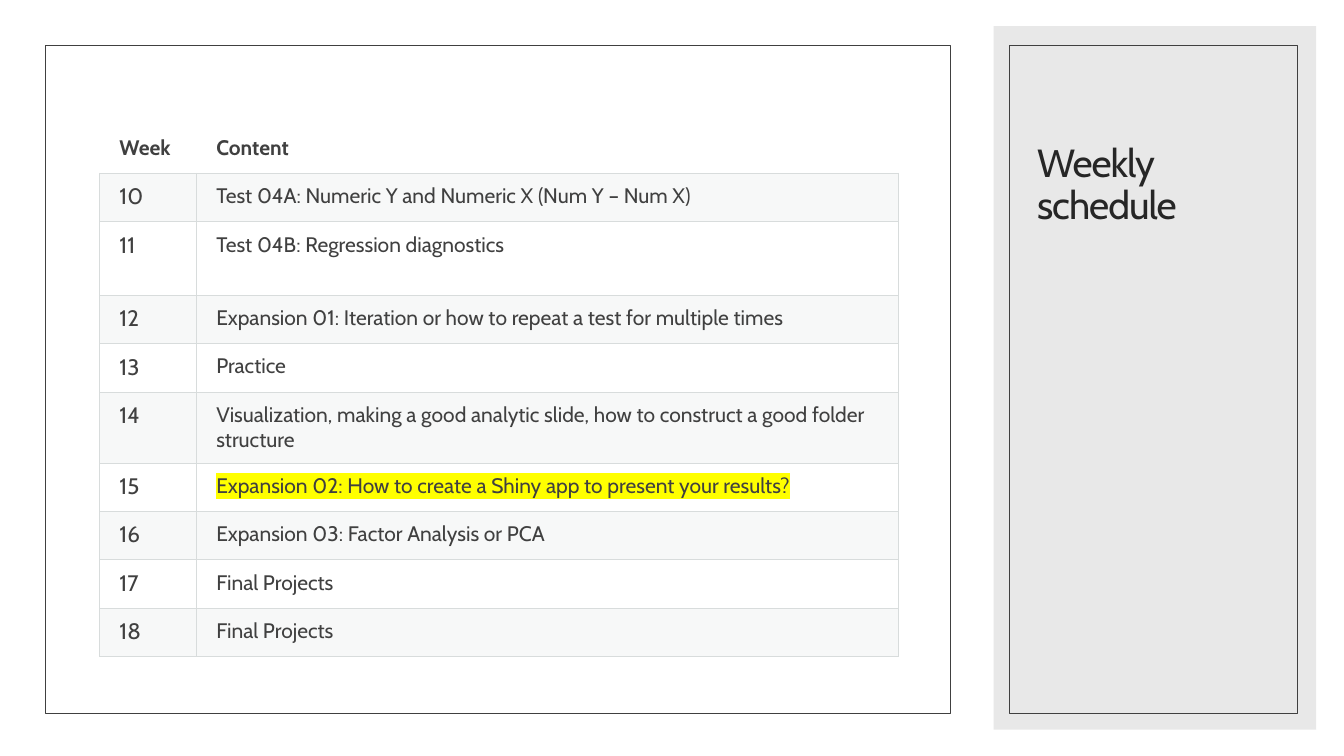
from lxml import etree
from pptx import Presentation
from pptx.dml.color import RGBColor
from pptx.enum.shapes import MSO_SHAPE
from pptx.enum.text import MSO_ANCHOR, MSO_AUTO_SIZE, PP_ALIGN
from pptx.oxml.ns import qn
from pptx.util import Cm, Pt

RECT = MSO_SHAPE.RECTANGLE
BOTTOM = MSO_ANCHOR.BOTTOM
NO_FIT = MSO_AUTO_SIZE.NONE
LEFT = PP_ALIGN.LEFT
FONT = "Cabin"
DARK = "404040"
BORDER = "D8DCDC"
BAND = "D8DEDC"


def paint(fill, color, alpha=100):
    fill.solid()
    fill.fore_color.rgb = RGBColor.from_string(color)
    if alpha < 100:
        clr = fill._xPr.find(qn("a:solidFill"))[0]
        etree.SubElement(clr, qn("a:alpha"), val=str(alpha * 1000))


def write(tf, text, size, color=DARK, bold=False, spacing=0, highlight=None):
    p = tf.paragraphs[0]
    p.alignment = LEFT
    r = p.add_run()
    r.text = text
    r.font.size = Pt(size)
    r.font.bold = bold
    r.font.name = FONT
    paint(r.font.fill, color)
    rPr = r.font._element
    if spacing:
        rPr.set("spc", str(spacing))
    if highlight:
        hl = etree.Element(qn("a:highlight"))
        etree.SubElement(hl, qn("a:srgbClr"), val=highlight)
        rPr.find(qn("a:solidFill")).addnext(hl)
    return p


prs = Presentation()
prs.slide_width = Cm(33.87)
prs.slide_height = Cm(19.05)
s = prs.slides.add_slide(prs.slide_layouts[5])

panels = [
    (0, 0, 33.87, 19.05, "FFFFFF", 100),
    (1.14, 1.14, 22.81, 16.84, None, 100),
    (25.04, 0.66, 8.13, 17.73, "D9D9D9", 60),
    (25.43, 1.14, 7.26, 16.84, None, 100),
]
for left, top, width, height, color, alpha in panels:
    sp = s.shapes.add_shape(RECT, Cm(left), Cm(top), Cm(width), Cm(height))
    sp.shadow.inherit = False
    if color:
        paint(sp.fill, color, alpha)
        sp.line.fill.background()
    else:
        sp.fill.background()
        paint(sp.line.fill, DARK)
        sp.line.width = Pt(0.5)

title = s.shapes.title
s.shapes._spTree.append(title._element)
title.left, title.top, title.width, title.height = Cm(25.88), Cm(1.7), Cm(6.43), Cm(4.17)
tf = title.text_frame
tf.word_wrap = True
tf.auto_size = NO_FIT
tf.vertical_anchor = BOTTOM
p = write(tf, "Weekly schedule", 28, color="262626", spacing=-70)
p.line_spacing = 0.9

schedule = [
    ("Week", "Content"),
    ("10", "Test 04A: Numeric Y and Numeric X (Num Y – Num X)"),
    ("11", "Test 04B: Regression diagnostics"),
    ("12", "Expansion 01: Iteration or how to repeat a test for multiple times"),
    ("13", "Practice"),
    ("14", "Visualization, making a good analytic slide, how to construct a good folder structure"),
    ("15", "Expansion 02: How to create a Shiny app to present your results?"),
    ("16", "Expansion 03: Factor Analysis or PCA"),
    ("17", "Final Projects"),
    ("18", "Final Projects"),
]
frame = s.shapes.add_table(len(schedule), 2, Cm(2.51), Cm(3.15), Cm(20.12), Cm(12.83))
table = frame.table
table.first_row = False
table.horz_banding = False
table.columns[0].width = Cm(2.44)
table.columns[1].width = Cm(17.68)

for i, row in enumerate(schedule):
    table.rows[i].height = Cm(1.85 if row[0] == "11" else 1.22)
    for j, text in enumerate(row):
        cell = table.cell(i, j)
        cell.margin_left = Cm(0.5)
        cell.margin_right = cell.margin_top = cell.margin_bottom = Cm(0.25)
        write(cell.text_frame, text, 16 if i and j == 0 else 15, bold=i == 0,
              highlight="FFFF00" if j and row[0] == "15" else None)
        tcPr = cell._tc.get_or_add_tcPr()
        for side in "LRTB":
            ln = etree.SubElement(tcPr, qn("a:ln" + side), w=str(Pt(0.75)))
            if i or side == "B":
                fill = etree.SubElement(ln, qn("a:solidFill"))
                etree.SubElement(fill, qn("a:srgbClr"), val=BORDER)
            else:
                etree.SubElement(ln, qn("a:noFill"))
        if i % 2:
            paint(cell.fill, BAND, 20)
        else:
            cell.fill.background()

prs.save("out.pptx")
